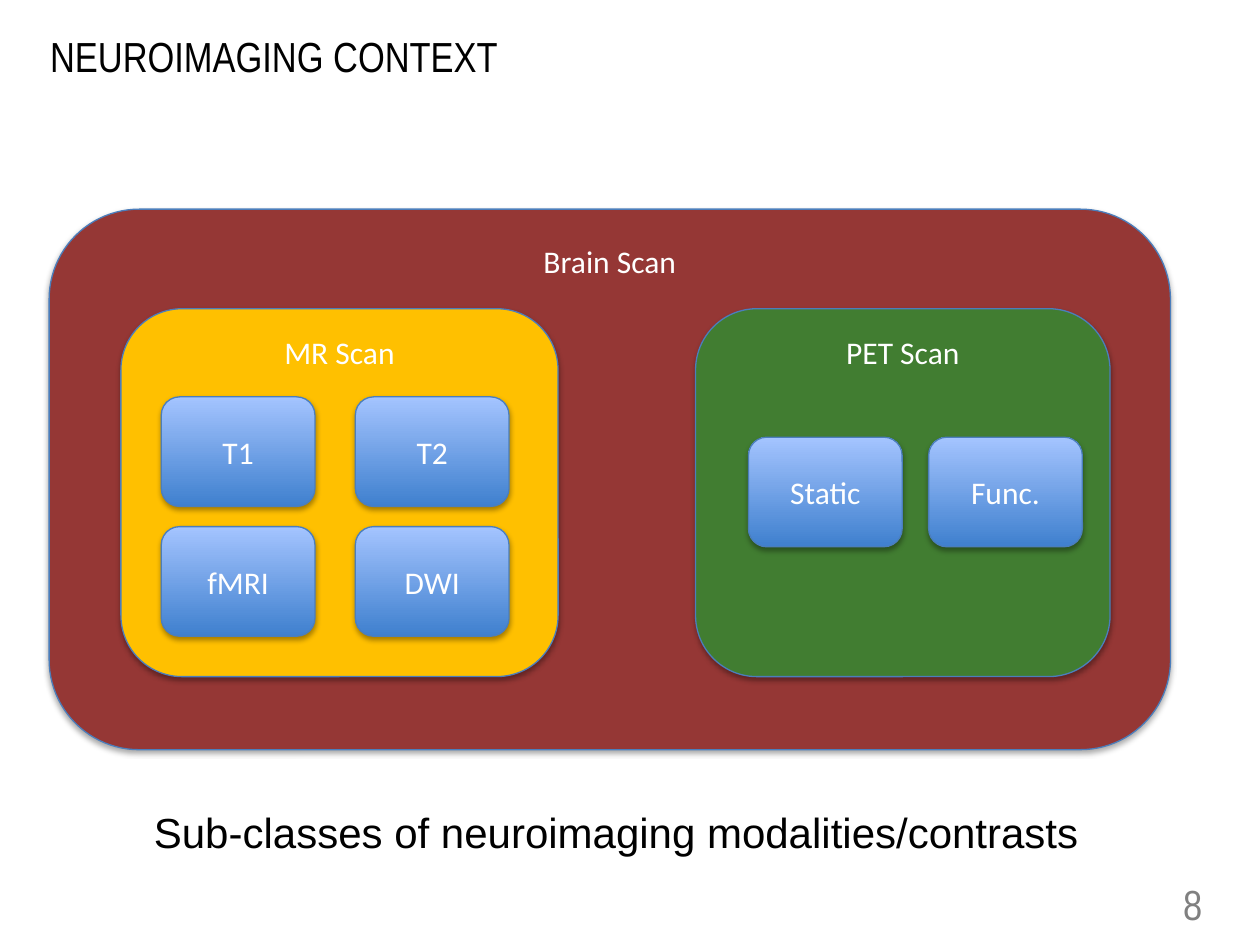
from lxml import etree
from pptx import Presentation
from pptx.dml.color import RGBColor
from pptx.enum.shapes import MSO_SHAPE
from pptx.enum.text import MSO_ANCHOR as ANCHOR, PP_ALIGN as ALIGN
from pptx.oxml import parse_xml
from pptx.oxml.ns import nsdecls, qn
from pptx.util import Inches, Pt

SHADOW = (
    f'<a:outerShdw {nsdecls("a")} blurRad="40000" dist="23000" dir="5400000" rotWithShape="0">'
    '<a:srgbClr val="000000"><a:alpha val="35000"/></a:srgbClr></a:outerShdw>'
)


def write(s, text, font, size, color, align, anchor):
    tf = s.text_frame
    tf.word_wrap = True
    tf.vertical_anchor = anchor
    tf.text = text
    p = tf.paragraphs[0]
    p.alignment = align
    r = p.runs[0]
    r.font.name = font
    r.font.size = Pt(size)
    r.font.color.rgb = RGBColor.from_string(color)
    return p


def add_box(text, x, y, w, h, color=None):
    s = slide.shapes.add_shape(
        MSO_SHAPE.ROUNDED_RECTANGLE, Inches(x), Inches(y), Inches(w), Inches(h))
    if color:
        s.fill.solid()
        s.fill.fore_color.rgb = RGBColor.from_string(color)
    else:
        s.fill.gradient()
        s.fill.gradient_angle = 90
        for stop, shade in zip(s.fill.gradient_stops, ("3F80CE", "A4C4FF")):
            stop.color.rgb = RGBColor.from_string(shade)
            stop.position = 0 if shade == "3F80CE" else 1
    s.line.color.rgb = RGBColor.from_string("4B7EBC")
    s.line.width = Pt(0.75)
    s.shadow.inherit = False
    s._element.spPr.find(qn("a:effectLst")).append(parse_xml(SHADOW))
    write(s, text, "Calibri", 18, "FFFFFF", ALIGN.CENTER,
          ANCHOR.TOP if color else ANCHOR.MIDDLE)


prs = Presentation()
prs.slide_width = Inches(10)
prs.slide_height = Inches(7.5)
slide = prs.slides.add_slide(prs.slide_layouts[6])

add_box("Brain Scan", 0.39, 1.66, 8.9, 4.29, "953735")
add_box("MR Scan", 0.96, 2.45, 3.47, 2.92, "FFC000")
add_box("PET Scan", 5.52, 2.45, 3.29, 2.92, "417D31")

for i, name in enumerate(["T1", "T2", "fMRI", "DWI"]):
    row, col = divmod(i, 2)
    add_box(name, 1.28 + 1.54 * col, 3.15 + 1.03 * row, 1.22, 0.87)
for i, name in enumerate(["Static", "Func."]):
    add_box(name, 5.94 + 1.43 * i, 3.47, 1.22, 0.87)

texts = [
    ("NEUROIMAGING CONTEXT", 0.3, 0.24, 6.27, 0.85, "Arial Narrow", "000000", ALIGN.LEFT, ANCHOR.TOP, 0.9),
    ("Sub-classes of neuroimaging modalities/contrasts", 0.39, 6.35, 9, 0.6, "Arial", "000000",
     ALIGN.CENTER, ANCHOR.TOP, 1.0),
    ("8", 8.31, 6.97, 1.33, 0.4, "Arial Narrow", "808080", ALIGN.RIGHT, ANCHOR.MIDDLE, 1.0),
]
for text, x, y, w, h, font, color, align, anchor, spacing in texts:
    s = slide.shapes.add_textbox(Inches(x), Inches(y), Inches(w), Inches(h))
    p = write(s, text, font, 24, color, align, anchor)
    p.line_spacing = spacing

prs.save("out.pptx")
